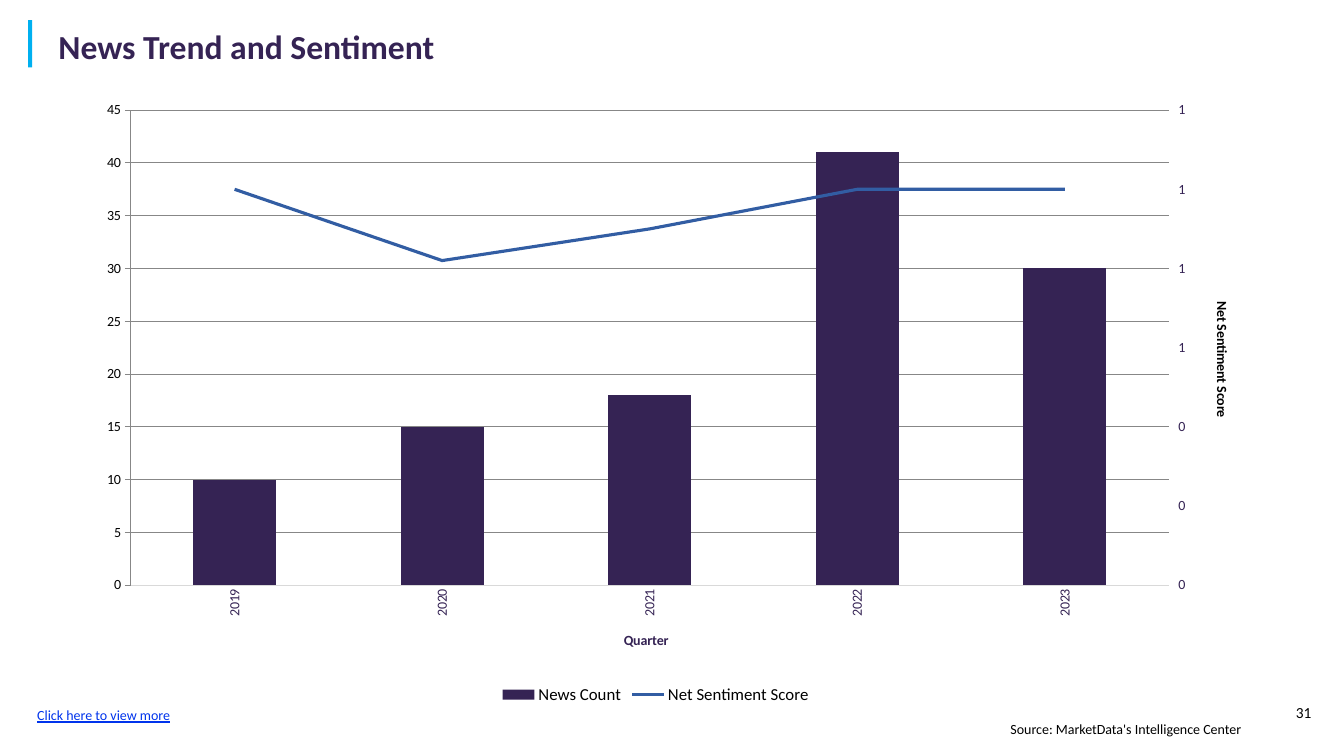
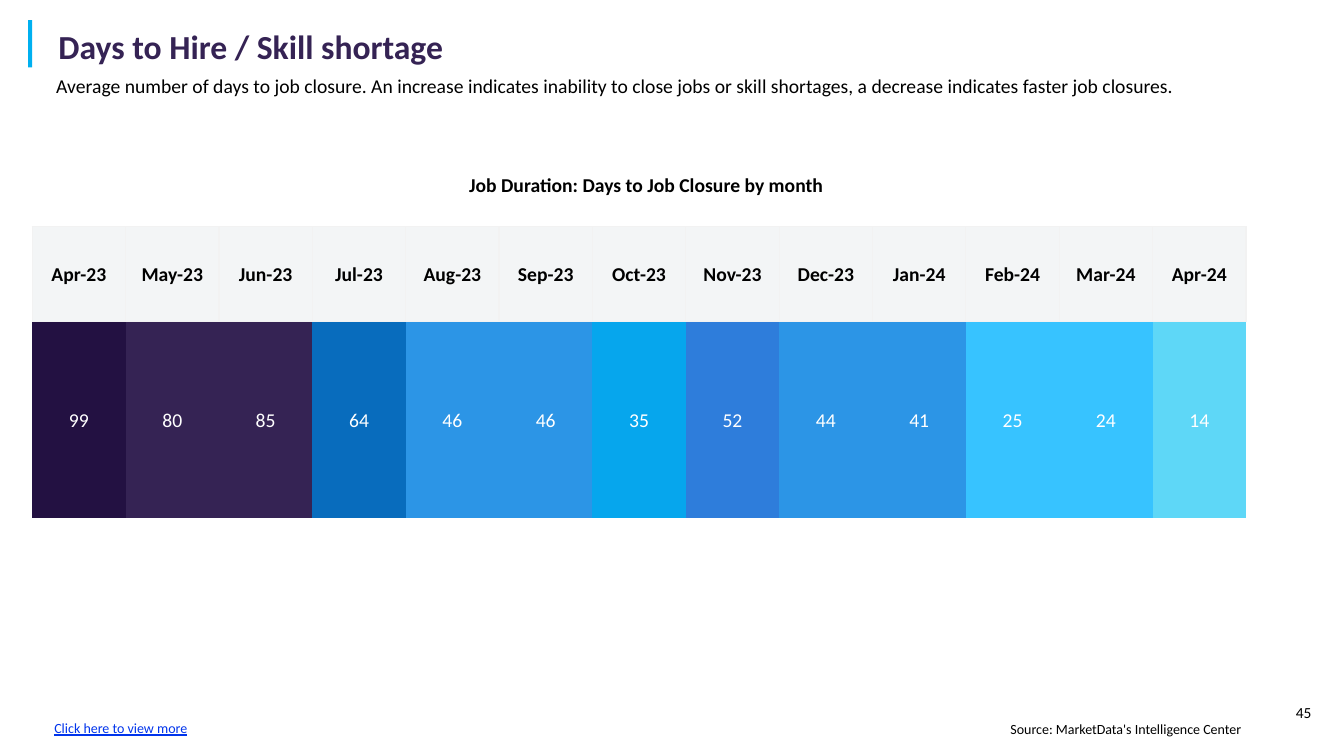
from pptx import Presentation
from pptx.chart.axis import ValueAxis
from pptx.chart.data import CategoryChartData
from pptx.dml.color import RGBColor
from pptx.enum.chart import XL_CHART_TYPE as ChartType
from pptx.enum.chart import XL_LEGEND_POSITION as LegendPosition
from pptx.enum.chart import XL_MARKER_STYLE as MarkerStyle
from pptx.enum.chart import XL_TICK_MARK as TickMark
from pptx.enum.shapes import MSO_SHAPE as Shape
from pptx.enum.text import MSO_ANCHOR as Anchor
from pptx.enum.text import PP_ALIGN as Align
from pptx.oxml import parse_xml
from pptx.oxml.ns import nsdecls, qn
from pptx.util import Inches, Pt

FONT = "Calibri"
PURPLE = "352354"
CYAN = "00B0F0"
BLACK = "000000"
WHITE = "FFFFFF"
LINK_BLUE = "0034EC"
TREND_BLUE = "325DA3"
AXIS_GREY = "D9D9D9"
HEADER_GREY = "F3F5F6"
BORDER_GREY = "F2F2F2"
PLAIN_TABLE_STYLE = "{2D5ABB26-0587-4C30-8999-92F81FD0307C}"

NEWS_COUNT = {"2019": 10, "2020": 15, "2021": 18, "2022": 41, "2023": 30}
NET_SENTIMENT = [1, 0.82, 0.9, 1, 1]

DAYS_TO_CLOSURE = {
    "Apr-23": 99, "May-23": 80, "Jun-23": 85, "Jul-23": 64, "Aug-23": 46,
    "Sep-23": 46, "Oct-23": 35, "Nov-23": 52, "Dec-23": 44, "Jan-24": 41,
    "Feb-24": 25, "Mar-24": 24, "Apr-24": 14,
}
HEAT_BANDS = [
    (90, "231142"), (80, PURPLE), (60, "086CBD"), (50, "2E7DDB"),
    (40, "2C95E6"), (30, "06A6ED"), (20, "37C3FF"), (0, "5ED7F7"),
]


def rgb(hex_color):
    return RGBColor.from_string(hex_color)


def style_font(font, size, color=BLACK, bold=False, underline=False):
    font.name = FONT
    font.size = Pt(size)
    font.color.rgb = rgb(color)
    font.bold = bold
    font.underline = underline


def add_label(slide, box, text, size, color=BLACK, bold=False, underline=False,
              align=Align.LEFT, anchor=Anchor.TOP, left_inset=0.1, right_inset=0.1):
    frame = slide.shapes.add_textbox(*map(Inches, box)).text_frame
    frame.word_wrap = True
    frame.vertical_anchor = anchor
    frame.margin_left = Inches(left_inset)
    frame.margin_right = Inches(right_inset)
    frame.text = text
    paragraph = frame.paragraphs[0]
    paragraph.alignment = align
    style_font(paragraph.runs[0].font, size, color, bold, underline)


def add_page(deck, title, number):
    slide = deck.slides.add_slide(deck.slide_layouts[6])
    accent = slide.shapes.add_shape(
        Shape.RECTANGLE, Inches(0.28), Inches(0.2), Inches(0.04), Inches(0.47))
    accent.shadow.inherit = False
    accent.fill.solid()
    accent.fill.fore_color.rgb = rgb(CYAN)
    accent.line.fill.background()
    add_label(slide, (0.27, 0.26, 12.28, 0.39), title, 24, PURPLE, bold=True,
              anchor=Anchor.MIDDLE, left_inset=0.31)
    add_label(slide, (0.32, 7.1, 12.28, 0.27),
              "Source: MarketData's Intelligence Center", 10,
              align=Align.RIGHT, right_inset=0.29)
    add_label(slide, (12.53, 6.93, 0.8, 0.29), str(number), 11, align=Align.CENTER)
    return slide


def add_more_link(slide, left, top):
    add_label(slide, (left, top, 12.28, 0.27), "Click here to view more", 10,
              LINK_BLUE, underline=True)


def place_plot(plot_area, x, y, width, height):
    for automatic in plot_area.findall(qn("c:layout")):
        plot_area.remove(automatic)
    plot_area.insert(0, parse_xml(
        f'<c:layout {nsdecls("c")}><c:manualLayout><c:layoutTarget val="inner"/>'
        '<c:xMode val="edge"/><c:yMode val="edge"/>'
        f'<c:x val="{x}"/><c:y val="{y}"/><c:w val="{width}"/><c:h val="{height}"/>'
        '</c:manualLayout></c:layout>'))


def move_to_right_axis(plot_area):
    columns = plot_area.find(qn("c:barChart"))
    trend = columns.findall(qn("c:ser"))[1]
    for column_only in trend.findall(qn("c:invertIfNegative")):
        trend.remove(column_only)
    line_plot = parse_xml(
        f'<c:lineChart {nsdecls("c")}><c:grouping val="standard"/>'
        '<c:varyColors val="0"/><c:marker val="1"/>'
        '<c:axId val="5001"/><c:axId val="5002"/></c:lineChart>')
    line_plot.insert(2, trend)
    columns.addnext(line_plot)
    hidden_axis = parse_xml(
        f'<c:catAx {nsdecls("c")}><c:axId val="5001"/>'
        '<c:scaling><c:orientation val="minMax"/></c:scaling><c:delete val="1"/>'
        '<c:axPos val="b"/><c:crossAx val="5002"/><c:crosses val="autoZero"/></c:catAx>')
    right_axis = parse_xml(
        f'<c:valAx {nsdecls("c")}><c:axId val="5002"/>'
        '<c:scaling><c:orientation val="minMax"/></c:scaling><c:delete val="0"/>'
        '<c:axPos val="r"/><c:numFmt formatCode="General" sourceLinked="0"/>'
        '<c:majorTickMark val="out"/><c:minorTickMark val="none"/>'
        '<c:tickLblPos val="nextTo"/><c:crossAx val="5001"/><c:crosses val="max"/></c:valAx>')
    plot_area.find(qn("c:valAx")).addnext(right_axis)
    right_axis.addnext(hidden_axis)
    return ValueAxis(right_axis)


def style_axis(axis, title, title_color=BLACK, title_turn=0, tick=TickMark.NONE):
    axis.has_major_gridlines = False
    axis.major_tick_mark = tick
    axis.minor_tick_mark = TickMark.NONE
    style_font(axis.tick_labels.font, 10, PURPLE)
    caption = axis.axis_title.text_frame
    caption.text = title
    style_font(caption.paragraphs[0].runs[0].font, 10, title_color, bold=True)
    turn_text(axis.axis_title._element, title_turn)


def turn_text(element, degrees):
    body = element.xpath(".//a:bodyPr")[0]
    body.set("rot", str(degrees * 60000))
    body.set("vert", "horz")


def scale_axis(axis, maximum, step):
    axis.minimum_scale = 0
    axis.maximum_scale = maximum
    axis.major_unit = step
    axis.format.line.fill.background()


def add_news_chart(slide):
    data = CategoryChartData()
    data.categories = list(NEWS_COUNT)
    data.add_series("News Count", list(NEWS_COUNT.values()))
    data.add_series("Net Sentiment Score", NET_SENTIMENT)
    chart = slide.shapes.add_chart(
        ChartType.COLUMN_CLUSTERED, Inches(0.45), Inches(0.91),
        Inches(12.11), Inches(6.12), data).chart
    chart.has_title = False
    style_font(chart.font, 10)
    plot_area = chart.element.xpath(".//c:plotArea")[0]
    sentiment_axis = move_to_right_axis(plot_area)
    place_plot(plot_area, 0.07, 0.03, 0.85, 0.77)

    years, counts = chart.category_axis, chart.value_axis
    style_axis(years, "Quarter", PURPLE)
    years.format.line.color.rgb = rgb(AXIS_GREY)
    years.format.line.width = Pt(0.75)
    turn_text(years._element.find(qn("c:txPr")), -90)
    style_axis(counts, "News Count", title_turn=-90)
    counts.tick_labels.number_format = "#,##0"
    counts.tick_labels.number_format_is_linked = False
    scale_axis(counts, 45, 5)
    style_axis(sentiment_axis, "Net Sentiment Score", title_turn=90, tick=TickMark.OUTSIDE)
    scale_axis(sentiment_axis, 1.2, 0.2)

    columns, trend_plot = chart.plots
    columns.gap_width = 150
    columns.vary_by_categories = False
    news = columns.series[0]
    news.format.fill.solid()
    news.format.fill.fore_color.rgb = rgb(PURPLE)
    trend = trend_plot.series[0]
    trend.smooth = False
    trend.marker.style = MarkerStyle.NONE
    trend.format.line.color.rgb = rgb(TREND_BLUE)
    trend.format.line.width = Pt(2.25)

    chart.has_legend = True
    chart.legend.position = LegendPosition.BOTTOM
    chart.legend.include_in_layout = False
    style_font(chart.legend.font, 12)


def heat_color(days):
    return next(color for floor, color in HEAT_BANDS if days >= floor)


def fill_cell(cell, text, fill, color, bold, edges):
    cell.text = text
    cell.vertical_anchor = Anchor.MIDDLE
    cell.margin_left = cell.margin_right = cell.margin_top = Inches(0.01)
    cell.margin_bottom = 0
    paragraph = cell.text_frame.paragraphs[0]
    paragraph.alignment = Align.CENTER
    style_font(paragraph.runs[0].font, 14, color, bold)
    for edge in edges:
        cell._tc.get_or_add_tcPr().append(parse_xml(
            f'<a:ln{edge} {nsdecls("a")} w="12700"><a:solidFill>'
            f'<a:srgbClr val="{BORDER_GREY}"/></a:solidFill></a:ln{edge}>'))
    cell.fill.solid()
    cell.fill.fore_color.rgb = rgb(fill)


def add_closure_table(slide):
    width = Inches(12.04)
    months = len(DAYS_TO_CLOSURE)
    table = slide.shapes.add_table(
        2, months, Inches(0.32), Inches(2.25), width, Inches(2.89)).table
    table._tbl.tblPr.find(qn("a:tableStyleId")).text = PLAIN_TABLE_STYLE
    table.first_row = table.horz_banding = False
    table.rows[0].height = Inches(0.94)
    table.rows[1].height = Inches(1.95)
    for index, (month, days) in enumerate(DAYS_TO_CLOSURE.items()):
        table.columns[index].width = width // months
        fill_cell(table.cell(0, index), month, HEADER_GREY, BLACK, True, "LRTB")
        fill_cell(table.cell(1, index), str(days), heat_color(days), WHITE, False, "T")


def main():
    deck = Presentation()
    deck.slide_width = Inches(13.33)
    deck.slide_height = Inches(7.5)

    news = add_page(deck, "News Trend and Sentiment", 31)
    add_news_chart(news)
    add_more_link(news, 0.27, 6.96)

    hiring = add_page(deck, "Days to Hire / Skill shortage", 45)
    add_label(hiring, (0.46, 0.68, 12.26, 0.26),
              "Average number of days to job closure. An increase indicates inability to "
              "close jobs or skill shortages, a decrease indicates faster job closures.", 14)
    add_label(hiring, (3.08, 1.67, 6.66, 0.34), "Job Duration: Days to Job Closure by month",
              14, bold=True, align=Align.CENTER)
    add_closure_table(hiring)
    add_more_link(hiring, 0.44, 7.09)

    deck.save("out.pptx")


if __name__ == "__main__":
    main()
